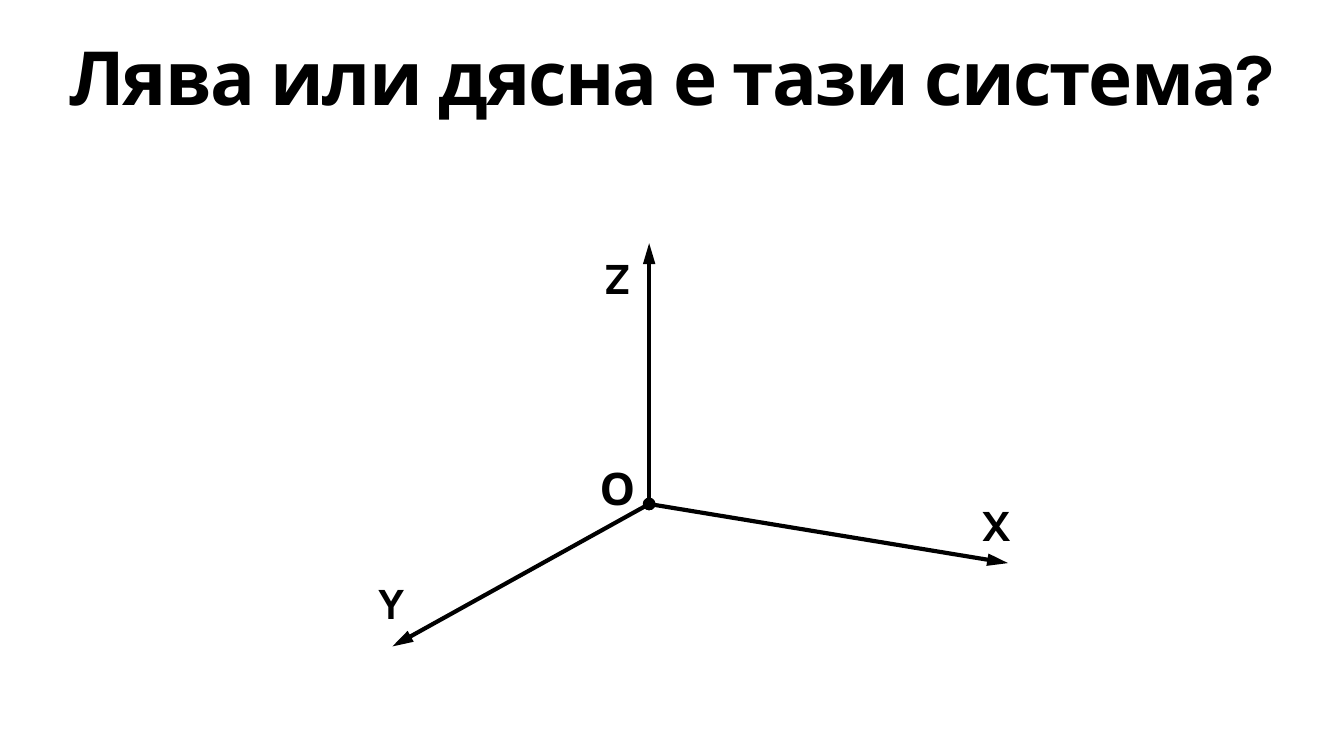
from lxml import etree
from pptx import Presentation
from pptx.dml.color import RGBColor
from pptx.enum.shapes import MSO_CONNECTOR as Connector
from pptx.enum.text import MSO_ANCHOR as Anchor, PP_ALIGN as Align
from pptx.oxml.ns import qn
from pptx.util import Inches, Pt

FONT = "Karla"
BLACK = "000000"
ORIGIN = (4.83, 3.75)
AXIS_TIPS = [(7.5, 4.19), (2.92, 4.81), (4.83, 1.81)]
LABELS = [("Z", 4.26, 1.81), ("Y", 2.58, 4.23), ("X", 7.08, 3.65), ("О", 4.26, 3.38)]


def color(value):
    return RGBColor.from_string(value)


def format_text(frame, size, anchor):
    frame.word_wrap = True
    frame.vertical_anchor = anchor
    paragraph = frame.paragraphs[0]
    paragraph.alignment = Align.CENTER
    run = paragraph.runs[0]
    run.font.name = FONT
    run.font.size = Pt(size)
    run.font.bold = True
    run.font.color.rgb = color(BLACK)
    return run


def set_title(slide, text):
    title = slide.shapes.title
    title.left, title.top = Inches(0), Inches(0.14)
    title.width, title.height = Inches(10), Inches(0.85)
    title.text_frame.text = text
    run = format_text(title.text_frame, 40, Anchor.MIDDLE)
    run.font._element.set("spc", "-90")


def add_axis(slide, tip):
    start_x, start_y, end_x, end_y = map(Inches, ORIGIN + tip)
    axis = slide.shapes.add_connector(Connector.STRAIGHT, start_x, start_y, end_x, end_y)
    axis.line.color.rgb = color(BLACK)
    axis.line.width = Pt(2.25)
    properties = axis._element.spPr
    outline = properties.find(qn("a:ln"))
    etree.SubElement(outline, qn("a:headEnd"), type="oval", w="med", len="med")
    etree.SubElement(outline, qn("a:tailEnd"), type="triangle", w="med", len="lg")
    etree.SubElement(properties, qn("a:effectLst"))


def add_label(slide, letter, left, top):
    label = slide.shapes.add_textbox(Inches(left), Inches(top), Inches(0.67), Inches(0.75))
    label.text_frame.text = letter
    format_text(label.text_frame, 24, Anchor.TOP)


def main():
    deck = Presentation()
    deck.slide_width, deck.slide_height = Inches(10), Inches(10 * 9 / 16)
    slide = deck.slides.add_slide(deck.slide_layouts[5])
    slide.background.fill.solid()
    slide.background.fill.fore_color.rgb = color("FFFFFF")
    set_title(slide, "Лява или дясна е тази система?")
    for tip in AXIS_TIPS:
        add_axis(slide, tip)
    for letter, left, top in LABELS:
        add_label(slide, letter, left, top)
    deck.save("out.pptx")


if __name__ == "__main__":
    main()
